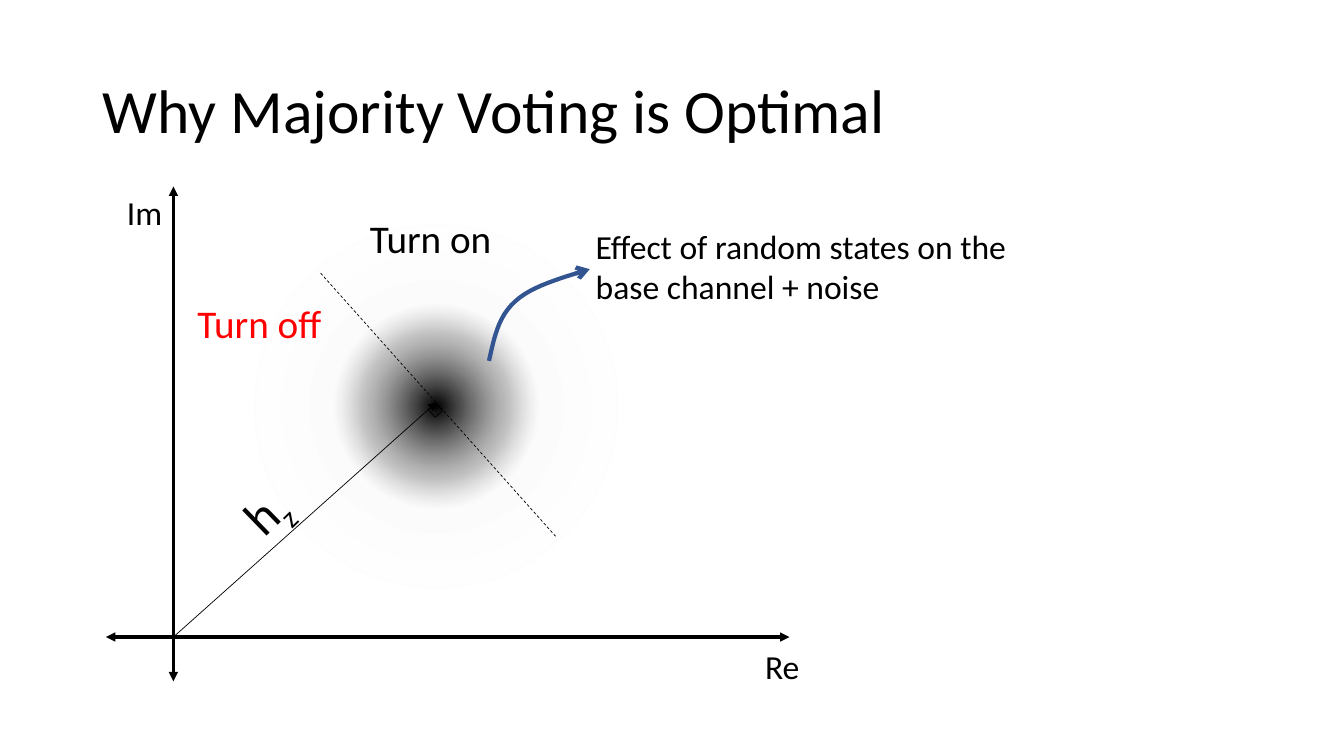
from lxml import etree
from pptx import Presentation
from pptx import util as u
from pptx.dml.color import RGBColor
from pptx.enum import dml, shapes, text
from pptx.oxml import ns

COLORS = {"ink": "000000", "off": "FF0000", "arrow": "325491"}
NOISE_STOPS = [
    (0, "000000", 100),
    (23, "808080", 67),
    (29, "A0A0A0", 60),
    (40, "C0C0C0", 5),
    (100, "FFFFFF", 0),
]
FONT = "Calibri"
ORIGIN = (1.72, 6.32)
CHANNEL_TIP = (4.33, 3.99)
EFFECT_CURVE = [
    [(4.85, 3.58), (4.9, 3.36), (4.94, 3.14), (5.11, 2.99)],
    [(5.11, 2.99), (5.27, 2.84), (5.56, 2.76), (5.85, 2.67)],
]
CURVE_STEPS = 12


def rgb(name):
    return RGBColor.from_string(COLORS[name])


def inches(*values):
    return [u.Inches(value) for value in values]


def child(parent, tag, **attributes):
    element = etree.SubElement(parent, ns.qn(tag))
    for key, value in attributes.items():
        element.set(key, str(value))
    return element


def style_line(line, width, color="ink", head=None, tail=None):
    line.width = u.Pt(width)
    line.color.rgb = rgb(color)
    ln = line._get_or_add_ln()
    for tag, end in (("a:headEnd", head), ("a:tailEnd", tail)):
        if end:
            child(ln, tag, type=end)


def add_line(slide, start, end, width, head=None, tail=None, dash=None):
    line = slide.shapes.add_connector(
        shapes.MSO_CONNECTOR.STRAIGHT, *inches(*start, *end))
    if dash:
        line.line.dash_style = dash
    style_line(line.line, width, head=head, tail=tail)
    child(line._element.spPr, "a:effectLst")


def format_runs(paragraph, size, color="ink"):
    for run in paragraph.runs:
        run.font.name = FONT
        run.font.size = u.Pt(size)
        run.font.color.rgb = rgb(color)


def add_label(slide, wording, box, size, color="ink", wrap=False):
    label = slide.shapes.add_textbox(*inches(*box))
    frame = label.text_frame
    frame.word_wrap = wrap
    frame.auto_size = text.MSO_AUTO_SIZE.SHAPE_TO_FIT_TEXT
    frame.text = wording
    format_runs(frame.paragraphs[0], size, color)
    return label


def add_channel_label(slide):
    label = add_label(slide, "h", (2.33, 4.71, 0.6, 0.71), 36)
    label.rotation = 315.9
    paragraph = label.text_frame.paragraphs[0]
    subscript = paragraph.add_run()
    subscript.text = "z"
    format_runs(paragraph, 36)
    subscript.font._element.set("baseline", "-25000")


def add_noise_cloud(slide):
    cloud = slide.shapes.add_shape(
        shapes.MSO_SHAPE.OVAL, *inches(2.51, 2.22, 3.62, 3.62))
    cloud.shadow.inherit = False
    cloud.line.fill.background()
    cloud.fill.gradient()
    gradient = cloud._element.spPr.find(ns.qn("a:gradFill"))
    for old in list(gradient):
        gradient.remove(old)
    stops = child(gradient, "a:gsLst")
    for position, color, opacity in NOISE_STOPS:
        stop = child(stops, "a:gs", pos=position * 1000)
        shade = child(stop, "a:srgbClr", val=color)
        child(shade, "a:alpha", val=opacity * 1000)
    center = child(gradient, "a:path", path="circle")
    child(center, "a:fillToRect", l=50000, t=50000, r=50000, b=50000)


def add_right_angle(slide):
    corner = slide.shapes.add_shape(
        shapes.MSO_SHAPE.RECTANGLE, *inches(4.27, 4.02, 0.1, 0.1))
    corner.rotation = 48.9
    corner.shadow.inherit = False
    corner.fill.background()
    style_line(corner.line, 0.5)


def bezier_point(controls, t):
    weights = ((1 - t) ** 3, 3 * t * (1 - t) ** 2, 3 * t * t * (1 - t), t ** 3)
    return tuple(
        u.Inches(sum(w * point[axis] for w, point in zip(weights, controls)))
        for axis in (0, 1))


def add_effect_arrow(slide):
    points = [bezier_point(controls, step / CURVE_STEPS)
              for controls in EFFECT_CURVE
              for step in range(1, CURVE_STEPS + 1)]
    builder = slide.shapes.build_freeform(*inches(*EFFECT_CURVE[0][0]))
    builder.add_line_segments(points, close=False)
    arrow = builder.convert_to_shape()
    arrow.shadow.inherit = False
    arrow.fill.background()
    style_line(arrow.line, 3, "arrow", tail="arrow")


def set_title(slide, wording):
    title = slide.shapes.title
    title.left, title.top, title.width, title.height = inches(
        0.92, 0.4, 11.5, 1.45)
    frame = title.text_frame
    frame.text = wording
    frame.auto_size = text.MSO_AUTO_SIZE.NONE
    frame.vertical_anchor = text.MSO_ANCHOR.MIDDLE
    paragraph = frame.paragraphs[0]
    paragraph.alignment = text.PP_ALIGN.LEFT
    paragraph.line_spacing = 0.9
    format_runs(paragraph, 44)


def main():
    deck = Presentation()
    deck.slide_width, deck.slide_height = inches(13.33, 7.5)
    slide = deck.slides.add_slide(deck.slide_layouts[5])
    set_title(slide, "Why Majority Voting is Optimal")

    add_noise_cloud(slide)
    for start, end in (((1.05, ORIGIN[1]), (7.83, ORIGIN[1])),
                       ((ORIGIN[0], 1.85), (ORIGIN[0], 6.76))):
        add_line(slide, start, end, 2.25, head="triangle", tail="triangle")
    add_line(slide, ORIGIN, CHANNEL_TIP, 0.5, tail="triangle")
    add_line(slide, (3.18, 2.71), (5.51, 5.32), 0.5,
             dash=dml.MSO_LINE.DASH)
    add_right_angle(slide)

    add_label(slide, "Re", (7.49, 6.36, 0.55, 0.5), 24)
    add_label(slide, "Im", (1.16, 1.85, 0.55, 0.5), 24)
    add_channel_label(slide)
    add_label(slide, "Turn on", (3.57, 2.08, 1.42, 0.57), 28)
    add_label(slide, "Turn off", (1.86, 2.92, 1.45, 0.57), 28, "off")
    add_effect_arrow(slide)
    add_label(slide, "Effect of random states on the base channel + noise",
              (5.81, 2.19, 4.5, 0.91), 24, wrap=True)
    deck.save("out.pptx")


if __name__ == "__main__":
    main()
